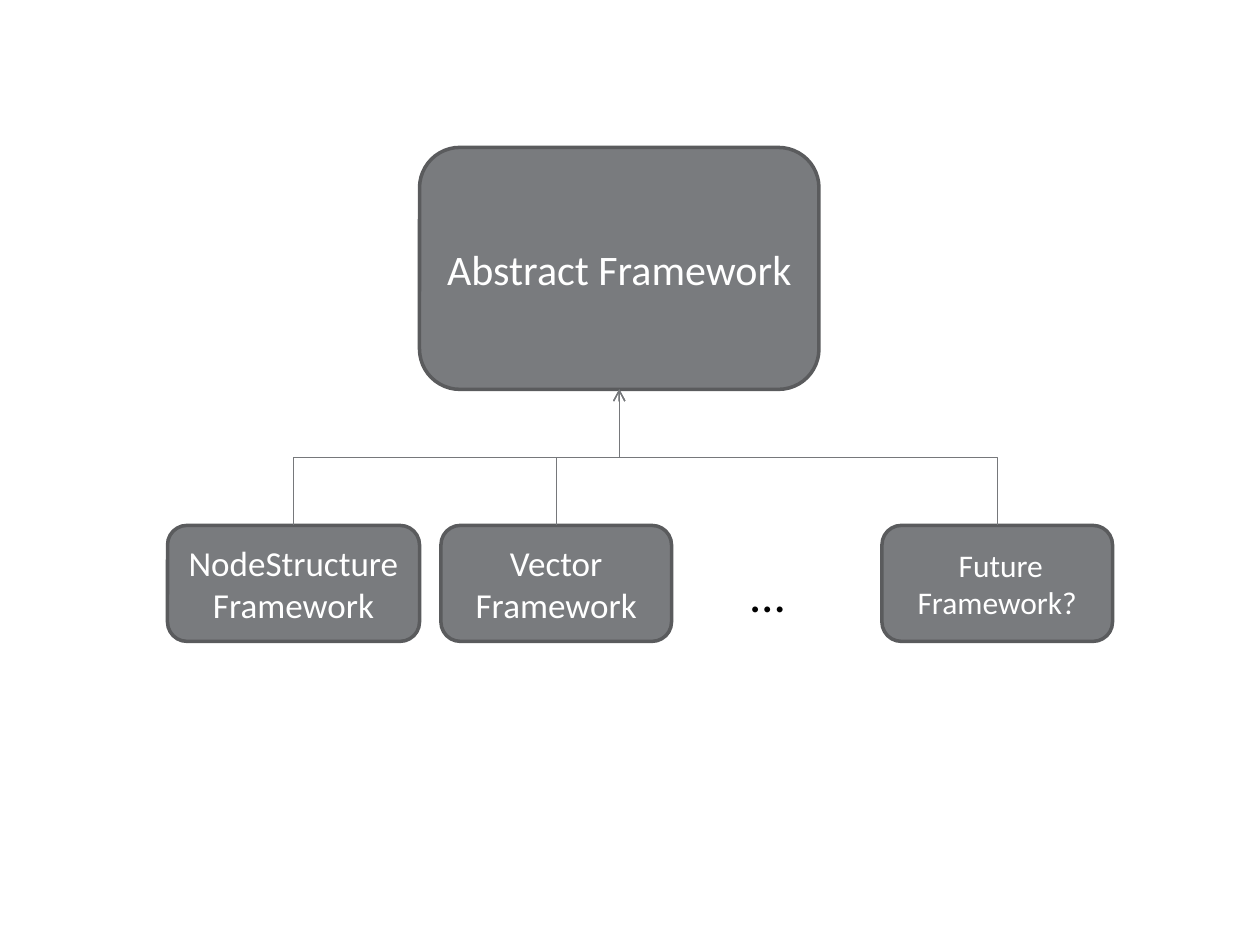
from dataclasses import dataclass

from lxml import etree
from pptx import Presentation
from pptx.dml.color import RGBColor
from pptx.enum import shapes, text
from pptx.oxml import ns
from pptx.shapes.autoshape import Shape
from pptx.util import Inches, Pt

GREY = RGBColor(0x79, 0x7B, 0x7E)
BORDER = RGBColor(0x5A, 0x5B, 0x5D)
LINK = RGBColor(0x76, 0x78, 0x7B)
WHITE = RGBColor(0xFF, 0xFF, 0xFF)
BLACK = RGBColor(0, 0, 0)
FONT = "Calibri"


@dataclass
class Framework:
    label: str
    left: float
    top: float
    width: float
    height: float
    size: int


CHILD_TOP, CHILD_HEIGHT = 4.17, 0.92
ABSTRACT = Framework("Abstract Framework", 3.33, 1.17, 3.17, 1.92, 24)
CHILDREN = [
    Framework("NodeStructure Framework", 1.33, CHILD_TOP, 2, CHILD_HEIGHT, 20),
    Framework("Vector Framework", 3.5, CHILD_TOP, 1.83, CHILD_HEIGHT, 20),
    Framework(" Future Framework?", 7, CHILD_TOP, 1.83, CHILD_HEIGHT, 18),
]

deck = Presentation()
deck.slide_width, deck.slide_height = Inches(10), Inches(7.5)
slide = deck.slides.add_slide(deck.slide_layouts[6])


def write(target: Shape, label: str, size: int, color: RGBColor) -> None:
    target.text_frame.word_wrap = True
    paragraph = target.text_frame.paragraphs[0]
    paragraph.text = label
    paragraph.font.name = FONT
    paragraph.font.size = Pt(size)
    paragraph.font.color.rgb = color


def draw_framework(item: Framework) -> Shape:
    box = slide.shapes.add_shape(
        shapes.MSO_SHAPE.ROUNDED_RECTANGLE,
        Inches(item.left), Inches(item.top), Inches(item.width), Inches(item.height),
    )
    box.shadow.inherit = False
    box.fill.solid()
    box.fill.fore_color.rgb = GREY
    box.line.color.rgb = BORDER
    box.line.width = Pt(2)
    write(box, item.label, item.size, WHITE)
    box.text_frame.vertical_anchor = text.MSO_ANCHOR.MIDDLE
    box.text_frame.paragraphs[0].alignment = text.PP_ALIGN.CENTER
    return box


def link_up(child: Shape, parent: Shape) -> None:
    link = slide.shapes.add_connector(shapes.MSO_CONNECTOR.ELBOW, 0, 0, 0, 0)
    link.begin_connect(child, 0)
    link.end_connect(parent, 2)
    start_x = child.left + child.width // 2
    end_x = parent.left + parent.width // 2
    parent_bottom = parent.top + parent.height
    middle_x = (start_x + end_x) // 2
    middle_y = (child.top + parent_bottom) // 2
    half_rise = (child.top - parent_bottom) // 2
    half_run = abs(end_x - start_x) // 2
    side = 1 if start_x < end_x else -1
    link.begin_x = middle_x + side * half_rise
    link.end_x = middle_x - side * half_rise
    link.begin_y = middle_y + half_run
    link.end_y = middle_y - half_run
    properties = link._element.spPr
    properties.find(ns.qn("a:xfrm")).set("rot", str((90 if side > 0 else 270) * 60000))
    link.line.color.rgb = LINK
    link.line.width = Pt(0.75)
    etree.SubElement(properties.find(ns.qn("a:ln")), ns.qn("a:tailEnd"), type="arrow")
    etree.SubElement(properties, ns.qn("a:effectLst"))


abstract = draw_framework(ABSTRACT)
children = [draw_framework(item) for item in CHILDREN]

ellipsis = slide.shapes.add_textbox(Inches(5.86), Inches(4.42), Inches(1.33), Inches(0.57))
write(ellipsis, "…", 28, BLACK)

for child in children:
    link_up(child, abstract)

deck.save("out.pptx")
